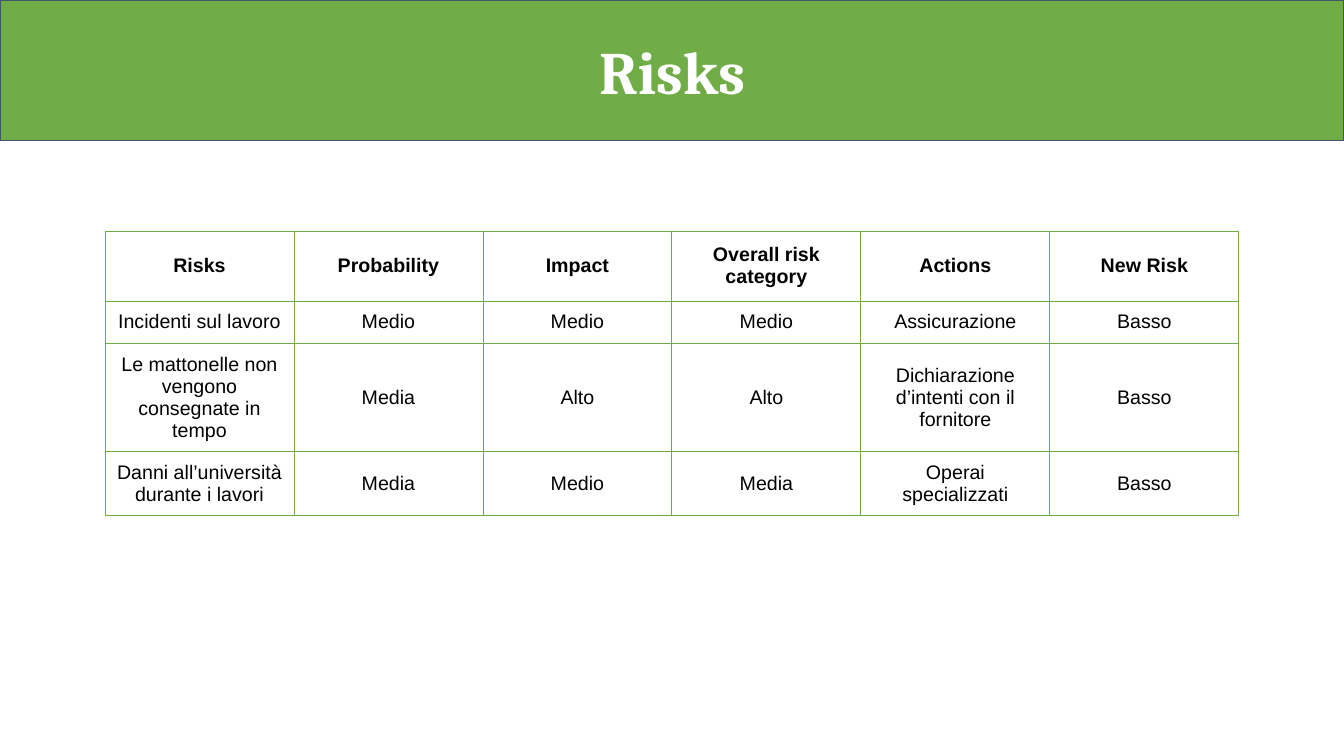
"""Build the Risks slide: a green title banner above a risk register table."""
from dataclasses import dataclass

from lxml import etree
from pptx import Presentation
from pptx import util as u
from pptx.dml.color import RGBColor
from pptx.enum import text
from pptx.oxml import ns


@dataclass(frozen=True)
class Theme:
    green: str = "70AD47"
    slate: str = "44546A"
    white: str = "FFFFFF"
    black: str = "000000"
    heading_font: str = "Cambria"
    body_font: str = "Arial"
    title_size: float = 43
    table_size: float = 14
    line_width: float = 0.75
    inset: float = 7.2


theme = Theme()


def write_text(frame, content, *, font, size, color, bold=False):
    frame.text = content
    frame.word_wrap = True
    frame.vertical_anchor = text.MSO_ANCHOR.MIDDLE
    paragraph = frame.paragraphs[0]
    paragraph.alignment = text.PP_ALIGN.CENTER
    run_font = paragraph.runs[0].font
    run_font.name = font
    run_font.size = u.Pt(size)
    run_font.bold = bold
    run_font.color.rgb = RGBColor.from_string(color)


def add_borders(cell, color, width):
    properties = cell._tc.get_or_add_tcPr()
    for side in ("a:lnL", "a:lnR", "a:lnT", "a:lnB"):
        line = etree.SubElement(properties, ns.qn(side), w=str(u.Pt(width)))
        fill = etree.SubElement(line, ns.qn("a:solidFill"))
        etree.SubElement(fill, ns.qn("a:srgbClr"), val=color)


presentation = Presentation()
presentation.slide_width = u.Pt(960)
presentation.slide_height = u.Pt(540)
slide = presentation.slides.add_slide(presentation.slide_layouts[5])

banner = slide.shapes.title
banner.left, banner.top = u.Pt(0), u.Pt(0)
banner.width, banner.height = presentation.slide_width, u.Pt(100.5)
banner.fill.solid()
banner.fill.fore_color.rgb = RGBColor.from_string(theme.green)
banner.line.color.rgb = RGBColor.from_string(theme.slate)
banner.line.width = u.Pt(theme.line_width)
banner.text_frame.auto_size = text.MSO_AUTO_SIZE.NONE
write_text(banner.text_frame, "Risks", font=theme.heading_font,
           size=theme.title_size, color=theme.white, bold=True)

risk_rows = [
    ["Risks", "Probability", "Impact", "Overall risk category", "Actions", "New Risk"],
    ["Incidenti sul lavoro", "Medio", "Medio", "Medio", "Assicurazione", "Basso"],
    ["Le mattonelle non vengono consegnate in tempo", "Media", "Alto", "Alto",
     "Dichiarazione d’intenti con il fornitore", "Basso"],
    ["Danni all’università durante i lavori", "Media", "Medio", "Media",
     "Operai specializzati", "Basso"],
]
row_heights = [50, 30, 77, 45.5]
column_width = 135
column_count = len(risk_rows[0])

table = slide.shapes.add_table(
    len(risk_rows), column_count, u.Pt(75), u.Pt(165),
    u.Pt(column_width * column_count), u.Pt(sum(row_heights))).table
table.horz_banding = False

for row_index, (labels, height) in enumerate(zip(risk_rows, row_heights)):
    table.rows[row_index].height = u.Pt(height)
    for column_index, label in enumerate(labels):
        cell = table.cell(row_index, column_index)
        add_borders(cell, theme.green, theme.line_width)
        cell.fill.background()
        cell.margin_left = cell.margin_right = u.Pt(theme.inset)
        cell.margin_top = cell.margin_bottom = u.Pt(theme.inset)
        write_text(cell.text_frame, label, font=theme.body_font,
                   size=theme.table_size, color=theme.black, bold=row_index == 0)
        cell.vertical_anchor = text.MSO_ANCHOR.MIDDLE

presentation.save("out.pptx")
